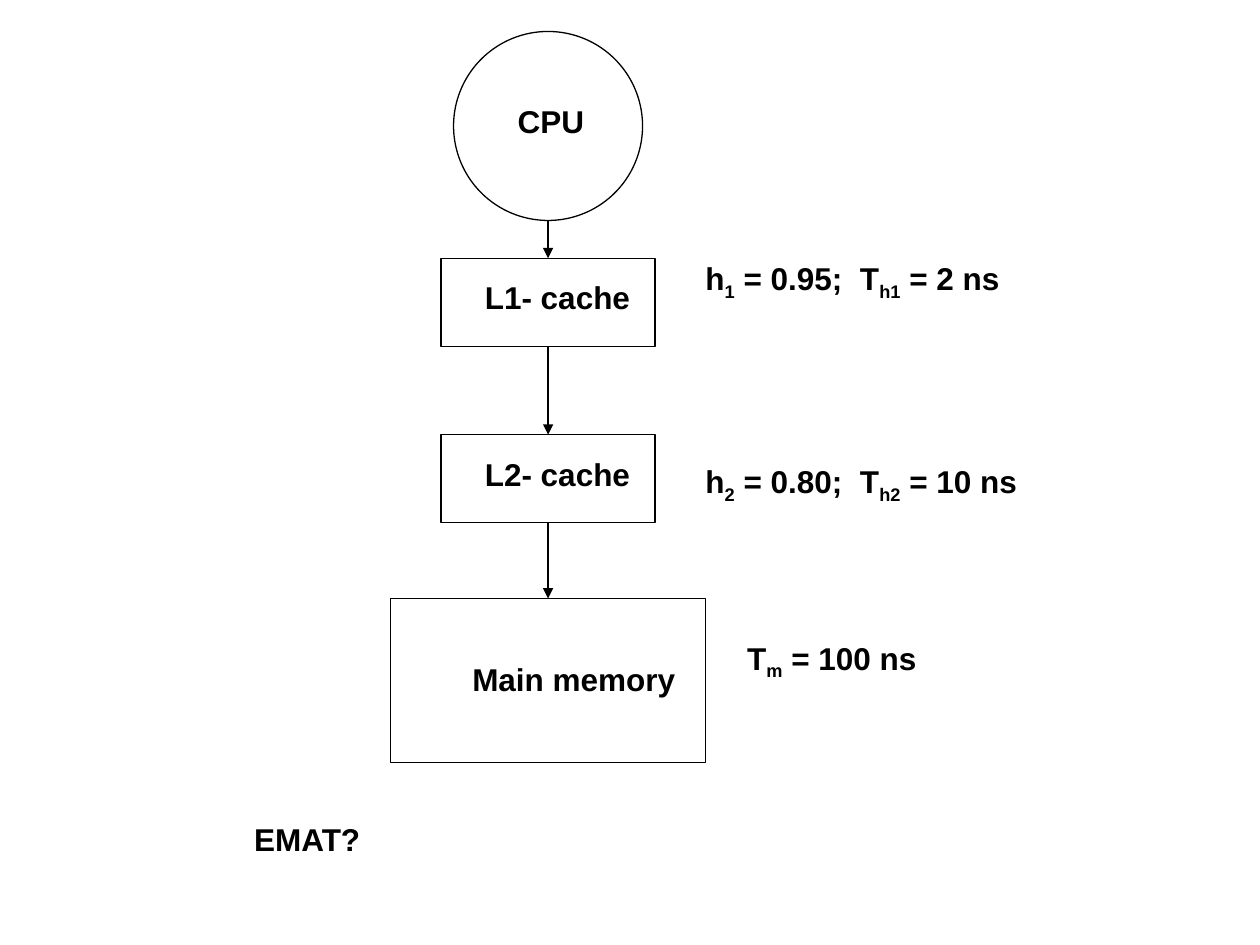
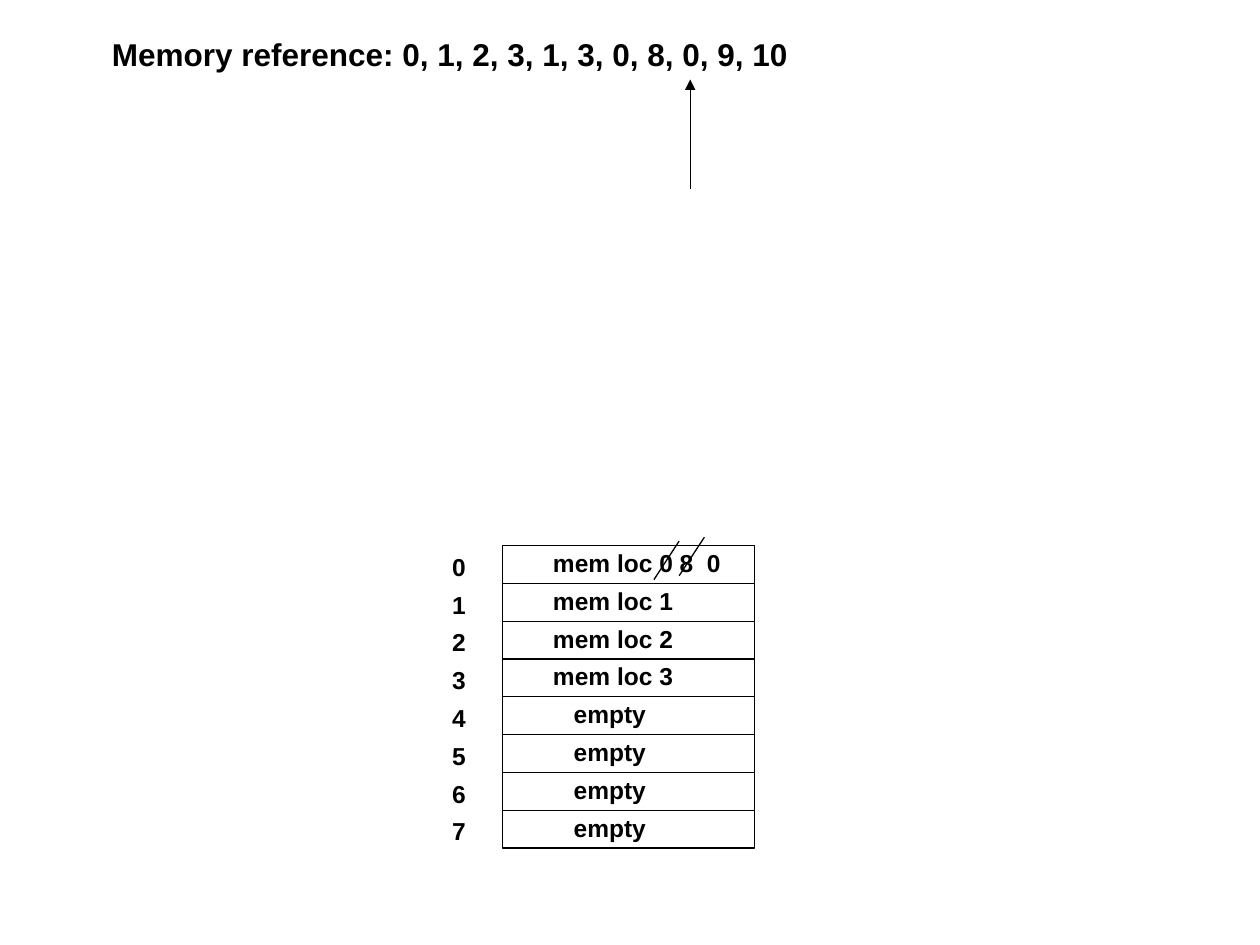
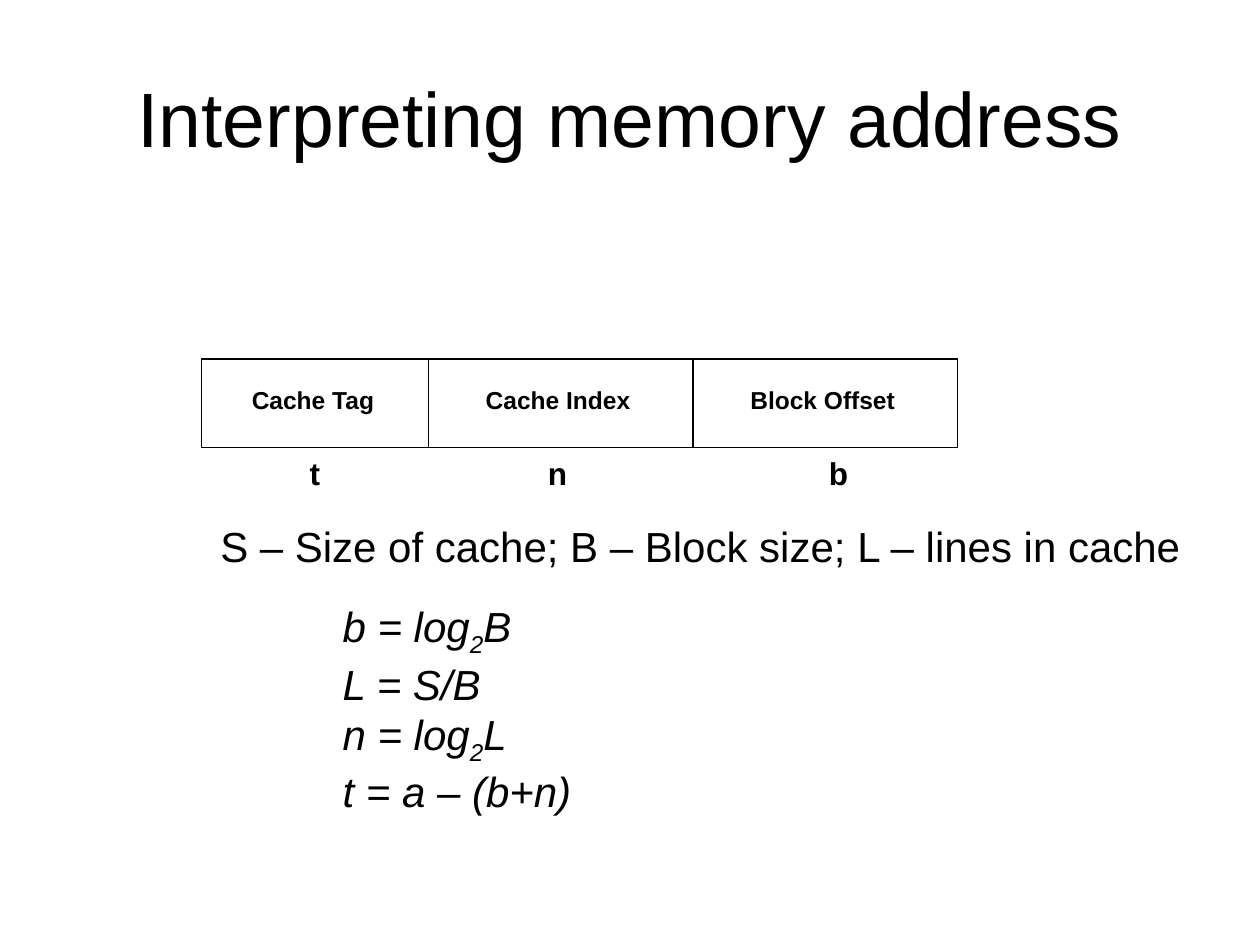
import dataclasses
import itertools
import typing

import lxml.etree
import pptx
import pptx.dml.color
import pptx.enum.shapes
import pptx.enum.text
import pptx.oxml.ns
import pptx.shapes.autoshape
import pptx.shapes.connector
import pptx.slide
import pptx.util

Pt = pptx.util.Pt
qn = pptx.oxml.ns.qn
Kind = pptx.enum.shapes.MSO_SHAPE
Align = pptx.enum.text.PP_ALIGN
Anchor = pptx.enum.text.MSO_ANCHOR

# Shared look
INK = "000000"
FONT = "Arial"
STROKE = 0.75
INSET_X, INSET_Y = 7.2, 3.6


@dataclasses.dataclass
class Box:
    left: float
    top: float
    width: float
    height: float
    kind: Kind = Kind.RECTANGLE


@dataclasses.dataclass
class Label:
    """Text block; parts between bars alternate plain and subscript."""
    left: float
    top: float
    width: float
    height: float
    lines: tuple[str, ...]
    size: float = 18
    bold: bool = True
    slant: bool = False
    indent: float = 0
    tabs: tuple[float, ...] = ()
    align: Align = Align.LEFT
    anchor: Anchor = Anchor.TOP


@dataclasses.dataclass
class Link:
    start: tuple[float, float]
    end: tuple[float, float]
    arrow: bool = True


def color(code: str) -> pptx.dml.color.RGBColor:
    return pptx.dml.color.RGBColor.from_string(code)


def draw_box(slide: pptx.slide.Slide, box: Box) -> pptx.shapes.autoshape.Shape:
    shape = slide.shapes.add_shape(
        box.kind, Pt(box.left), Pt(box.top), Pt(box.width), Pt(box.height))
    shape.shadow.inherit = False
    shape.fill.background()
    shape.line.color.rgb = color(INK)
    shape.line.width = Pt(STROKE)
    return shape


def draw_label(slide: pptx.slide.Slide, label: Label) -> None:
    shape = slide.shapes.add_textbox(
        Pt(label.left), Pt(label.top), Pt(label.width), Pt(label.height))
    frame = shape.text_frame
    frame.word_wrap = True
    frame.vertical_anchor = label.anchor
    frame.margin_left = Pt(INSET_X + label.indent)
    frame.margin_right = Pt(INSET_X)
    frame.margin_top = frame.margin_bottom = Pt(INSET_Y)
    for row, line in enumerate(label.lines):
        para = frame.paragraphs[0] if row == 0 else frame.add_paragraph()
        para.alignment = label.align
        if label.tabs:
            stops = lxml.etree.SubElement(
                para._p.get_or_add_pPr(), qn("a:tabLst"))
            for stop in label.tabs:
                lxml.etree.SubElement(
                    stops, qn("a:tab"), pos=str(Pt(stop)), algn="l")
        for place, part in enumerate(line.split("|")):
            run = para.add_run()
            run.text = part
            run.font.name = FONT
            run.font.size = Pt(label.size)
            run.font.bold = label.bold
            run.font.italic = label.slant
            run.font.color.rgb = color(INK)
            if place % 2:
                run._r.get_or_add_rPr().set("baseline", "-25000")


def draw_link(slide: pptx.slide.Slide,
              link: Link) -> pptx.shapes.connector.Connector:
    line = slide.shapes.add_connector(
        pptx.enum.shapes.MSO_CONNECTOR.STRAIGHT,
        *(Pt(value) for value in link.start + link.end))
    line.line.color.rgb = color(INK)
    line.line.width = Pt(STROKE)
    props = line.element.spPr
    if link.arrow:
        lxml.etree.SubElement(
            props.find(qn("a:ln")), qn("a:tailEnd"), type="triangle")
    lxml.etree.SubElement(props, qn("a:effectLst"))
    return line


def draw_all(slide: pptx.slide.Slide,
             labels: typing.Iterable[Label]) -> None:
    for label in labels:
        draw_label(slide, label)


def build_levels(slide: pptx.slide.Slide) -> None:
    # Memory levels, from top to bottom
    boxes = (
        Box(259.2, 18, 108, 108, Kind.OVAL),
        Box(252, 147.6, 122.4, 50.4),
        Box(252, 248.4, 122.4, 50.4),
        Box(223.2, 342, 180, 93.6),
    )
    nodes = [draw_box(slide, box) for box in boxes]
    for (above, upper), (below, lower) in itertools.pairwise(
            zip(boxes, nodes)):
        mid = above.left + above.width / 2
        line = draw_link(slide, Link(
            (mid, above.top + above.height), (mid, below.top)))
        if above.kind == Kind.RECTANGLE:
            line.begin_connect(upper, 2)
        line.end_connect(lower, 0)

    # Names, hit rates and times
    draw_all(slide, (
        Label(288.7, 54.8, 54, 29, ("CPU",)),
        Label(270, 155.5, 112.3, 29, ("L1- cache",)),
        Label(270, 256.3, 112.3, 29, ("L2- cache",)),
        Label(262.8, 373.7, 132, 29, ("Main memory",)),
        Label(396, 144.7, 226.8, 31.7, ("h|1| = 0.95;  T|h1| = 2 ns",)),
        Label(396, 260.6, 226.8, 31.7, ("h|2| = 0.80;  T|h2| = 10 ns",)),
        Label(414.7, 361.4, 154, 31.7, ("T|m| = 100 ns",), indent=5),
        Label(138.2, 465.1, 78, 29, ("EMAT?",)),
    ))


def build_cache(slide: pptx.slide.Slide) -> None:
    # Cache lines with their numbers
    top, pitch = 311.8, 21.6
    held = ("mem loc 0 8  0", "mem loc 1", "mem loc 2", "mem loc 3",
            *["empty"] * 4)
    for index, text in enumerate(held):
        y = top + index * pitch
        draw_box(slide, Box(287.3, y, 144, pitch))
        draw_label(slide, Label(251.3, y, 24, 24.5, (str(index),), size=14))
        draw_label(slide, Label(
            308.9, y - 2.2, 118, 24.5, (text,), size=14,
            indent=11.7 if text == "empty" else 0))

    # Strokes through the replaced entries
    for left, low in ((373.7, 331.2), (388.1, 329)):
        draw_link(slide, Link((left, low), (left + 14.4, low - 22), False))

    # Reference string and current access
    draw_label(slide, Label(
        56.9, 16.6, 402, 29,
        ("Memory reference: 0, 1, 2, 3, 1, 3, 0, 8, 0, 9, 10",)))
    draw_link(slide, Link((394.4, 108), (394.4, 45.4)))


def build_address(slide: pptx.slide.Slide) -> None:
    # Address fields, side by side
    left = 115.2
    for name, width, indent in (("Cache Tag", 129.6, 0),
                                ("Cache Index", 151.2, 4),
                                ("Block Offset", 151.2, 4)):
        draw_label(slide, Label(
            left + 21.6, 216.7, width - 36, 24.5, (name,), size=14,
            indent=indent))
        draw_box(slide, Box(left, 205.2, width, 50.4))
        left += width

    # Title, field widths and formulas
    draw_all(slide, (
        Label(36, 21.6, 648, 90, ("Interpreting memory address",), size=44,
              bold=False, align=Align.CENTER, anchor=Anchor.MIDDLE),
        Label(169.9, 255.6, 322.6, 29, ("t\tn\tb",), tabs=(136, 296.6)),
        Label(116.6, 339.8, 230.4, 130.3,
              ("b = log|2|B", "L = S/B", "n = log|2|L", "t = a – (b+n)"),
              size=24, bold=False, slant=True, indent=72),
        Label(118.8, 293.8, 565, 36,
              ("S – Size of cache; B – Block size; L – lines in cache",),
              size=24, bold=False),
    ))


def main() -> None:
    deck = pptx.Presentation()
    deck.slide_width, deck.slide_height = Pt(720), Pt(540)
    for build in (build_levels, build_cache, build_address):
        build(deck.slides.add_slide(deck.slide_layouts[6]))
    deck.save("out.pptx")


if __name__ == "__main__":
    main()
